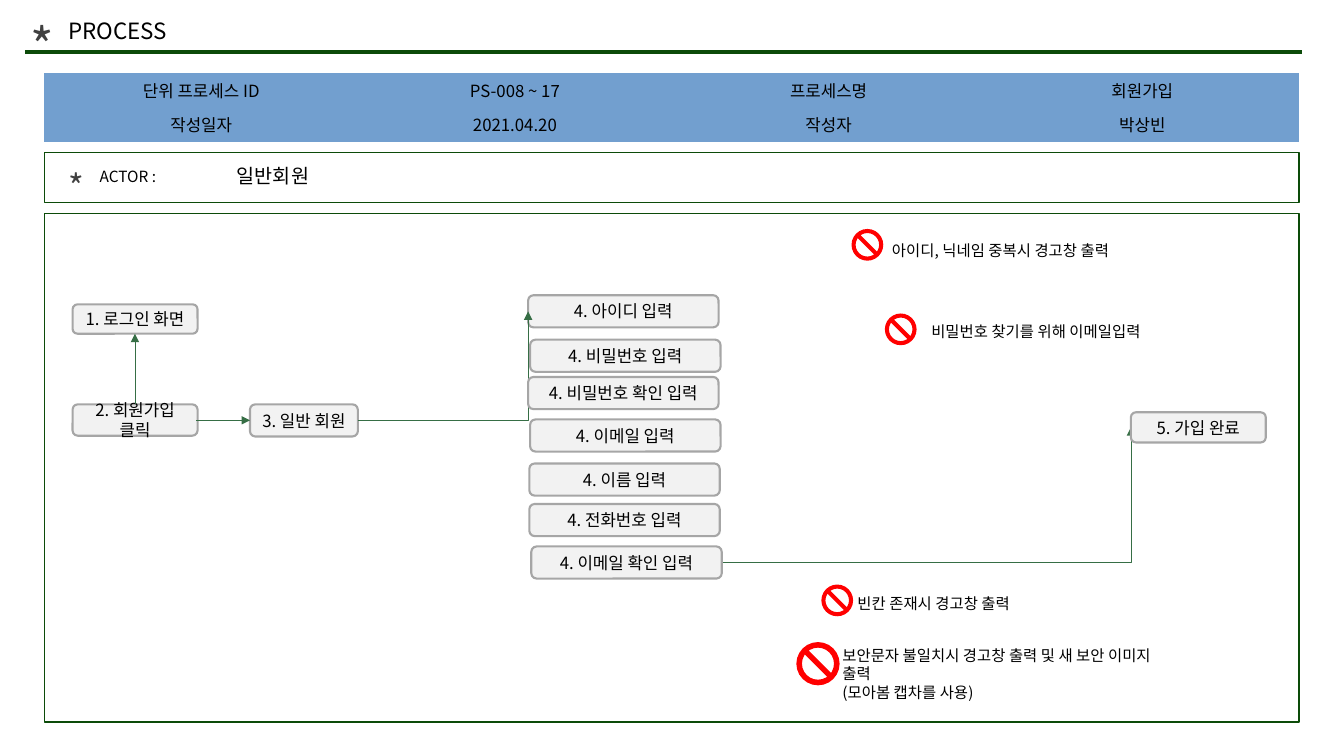
"""Build the sign-up process slide."""
from lxml import etree
from pptx import Presentation
from pptx.dml.color import RGBColor
from pptx.enum.shapes import MSO_CONNECTOR, MSO_SHAPE
from pptx.enum.text import MSO_ANCHOR, MSO_AUTO_SIZE, PP_ALIGN
from pptx.oxml.ns import qn
from pptx.util import Cm, Pt

LEFT, CENTER = PP_ALIGN.LEFT, PP_ALIGN.CENTER
TOP, MIDDLE = MSO_ANCHOR.TOP, MSO_ANCHOR.MIDDLE
STRAIGHT = MSO_CONNECTOR.STRAIGHT
RECT, ROUND, BAN = MSO_SHAPE.RECTANGLE, MSO_SHAPE.ROUNDED_RECTANGLE, MSO_SHAPE.NO_SYMBOL
FONT = "Noto Sans CJK KR"
GREEN, LEAF, BLACK, DARK = "0C4B09", "366E45", "000000", "404040"
GRAY, PALE, BLUE, RED = "A6A6A6", "F2F2F2", "729FCF", "FF0000"
NO_GRID = "{2D5ABB26-0587-4C30-8999-92F81FD0307C}"
NOTE = {"word_wrap": True, "auto_size": MSO_AUTO_SIZE.NONE, "vertical_anchor": TOP,
        "margin_left": Cm(0.25), "margin_right": Cm(0.25),
        "margin_top": Cm(0.13), "margin_bottom": Cm(0.13)}
SIDES = ("margin_left", "margin_right", "margin_top", "margin_bottom")
STEP = {**NOTE, "vertical_anchor": MIDDLE, **dict.fromkeys(SIDES, Cm(0.1))}


def rgb(code):
    return RGBColor.from_string(code)


def write(frame, text, size, form, align=LEFT, color=BLACK):
    for key, value in form.items():
        setattr(frame, key, value)
    frame.text = text
    for para in frame.paragraphs:
        para.alignment = align
        for run in para.runs:
            run.font.size = Pt(size)
            run.font.name = FONT
            run.font.color.rgb = rgb(color)
            etree.SubElement(run._r.get_or_add_rPr(), qn("a:ea"), typeface=FONT)


deck = Presentation()
deck.slide_width, deck.slide_height = Cm(33.87), Cm(19.05)
slide = deck.slides.add_slide(deck.slide_layouts[5])
shapes = slide.shapes

title = shapes.title
spot = {"left": Cm(1.47), "top": Cm(0.3), "width": Cm(10.97), "height": Cm(1.02)}
for key, value in spot.items():
    setattr(title, key, value)
write(title.text_frame, "PROCESS", 16, NOTE)

grid = shapes.add_table(2, 4, Cm(1.12), Cm(1.83), Cm(31.62), Cm(1.74)).table
grid._tbl.tblPr.find(qn("a:tableStyleId")).text = NO_GRID
grid.first_row = grid.horz_banding = False
rows = [
    ["단위 프로세스 ID", "PS-008 ~ 17", "프로세스명", "회원가입"],
    ["작성일자", "2021.04.20", "작성자", "박상빈"],
]
for row, words in enumerate(rows):
    for col, word in enumerate(words):
        cell = grid.cell(row, col)
        cell.fill.solid()
        cell.fill.fore_color.rgb = rgb(BLUE)
        write(cell.text_frame, word, 12, {}, CENTER)

for top, height in [(3.84, 1.27), (5.38, 12.82)]:
    panel = shapes.add_shape(RECT, Cm(1.12), Cm(top), Cm(31.62), Cm(height))
    panel.shadow.inherit = False
    panel.fill.background()
    panel.line.color.rgb = rgb(GREEN)
    panel.line.width = Pt(1)

# Boxes carry a text, links carry None; the order is back to front.
flow = [
    (1.83, 7.67, 3.15, 0.74, "1. 로그인 화면"),
    (18.19, 14.17, 28.5, 10.77, None),
    (1.83, 10.19, 3.15, 0.79, "2. 회원가입 클릭"),
    (6.3, 10.19, 2.72, 0.81, "3. 일반 회원"),
    (13.31, 7.44, 4.8, 0.81, "4. 아이디 입력"),
    (3.4, 10.19, 3.4, 8.41, None),
    (4.95, 10.59, 6.3, 10.59, None),
    (13.36, 8.56, 4.8, 0.81, "4. 비밀번호 입력"),
    (13.36, 10.57, 4.8, 0.81, "4. 이메일 입력"),
    (13.34, 11.68, 4.8, 0.81, "4. 이름 입력"),
    (13.34, 12.7, 4.8, 0.81, "4. 전화번호 입력"),
    (13.39, 13.77, 4.8, 0.81, "4. 이메일 확인 입력"),
    (28.5, 10.39, 3.4, 0.76, "5. 가입 완료"),
    (9.02, 10.59, 13.31, 7.85, None),
    (13.31, 9.5, 4.8, 0.81, "4. 비밀번호 확인 입력"),
]
links = []
for *place, text in flow:
    ends = [Cm(value) for value in place]
    if text:
        box = shapes.add_shape(ROUND, *ends)
        box.shadow.inherit = False
        box.fill.solid()
        box.fill.fore_color.rgb = rgb(PALE)
        box.line.color.rgb = rgb(GRAY)
        box.line.width = Pt(1.5)
        write(box.text_frame, text, 12, STEP, CENTER)
        continue
    link = shapes.add_connector(STRAIGHT, *ends)
    if ends[0] != ends[2] and ends[1] != ends[3]:
        link._element.spPr.find(qn("a:prstGeom")).set("prst", "bentConnector2")
    links.append((link, LEAF, 0.5))

rule = shapes.add_connector(STRAIGHT, Cm(0.64), Cm(1.31), Cm(32.81), Cm(1.31))
links.append((rule, GREEN, 2.25))
for link, color, width in links:
    link.line.color.rgb = rgb(color)
    link.line.width = Pt(width)
    if link is not rule:
        etree.SubElement(link.line._get_or_add_ln(), qn("a:tailEnd"), type="triangle")
    etree.SubElement(link._element.spPr, qn("a:effectLst"))

for left, top, size in [(21.46, 5.77, 0.8), (22.3, 7.9, 0.8), (20.7, 14.73, 0.8), (20.07, 16.18, 1.09)]:
    sign = shapes.add_shape(BAN, Cm(left), Cm(top), Cm(size), Cm(size))
    sign.shadow.inherit = False
    sign.adjustments[0] = 0.13
    sign.fill.solid()
    sign.fill.fore_color.rgb = rgb(RED)
    sign.line.fill.background()

notes = [
    (0.51, 0.25, 1.32, 1.98, "*", 36, DARK),
    (1.47, 4.04, 1.32, 1.4, "*", 24, DARK),
    (2.26, 4.09, 3.38, 0.79, "ACTOR :", 11, BLACK),
    (5.72, 4.01, 10.97, 0.97, "일반회원", 14, BLACK),
    (22.23, 5.94, 6.63, 0.81, "아이디, 닉네임 중복시 경고창 출력", 11, BLACK),
    (23.22, 7.98, 6.63, 0.81, "비밀번호 찾기를 위해 이메일입력", 11, BLACK),
    (21.36, 14.83, 8.69, 0.81, "빈칸 존재시 경고창 출력", 11, BLACK),
    (20.98, 16.15, 8.92, 1.96,
     "보안문자 불일치시 경고창 출력 및 새 보안 이미지 출력\n(모아봄 캡차를 사용)", 11, BLACK),
]
for *place, text, size, color in notes:
    note = shapes.add_textbox(*[Cm(value) for value in place])
    write(note.text_frame, text, size, NOTE, LEFT, color)

deck.save("out.pptx")
